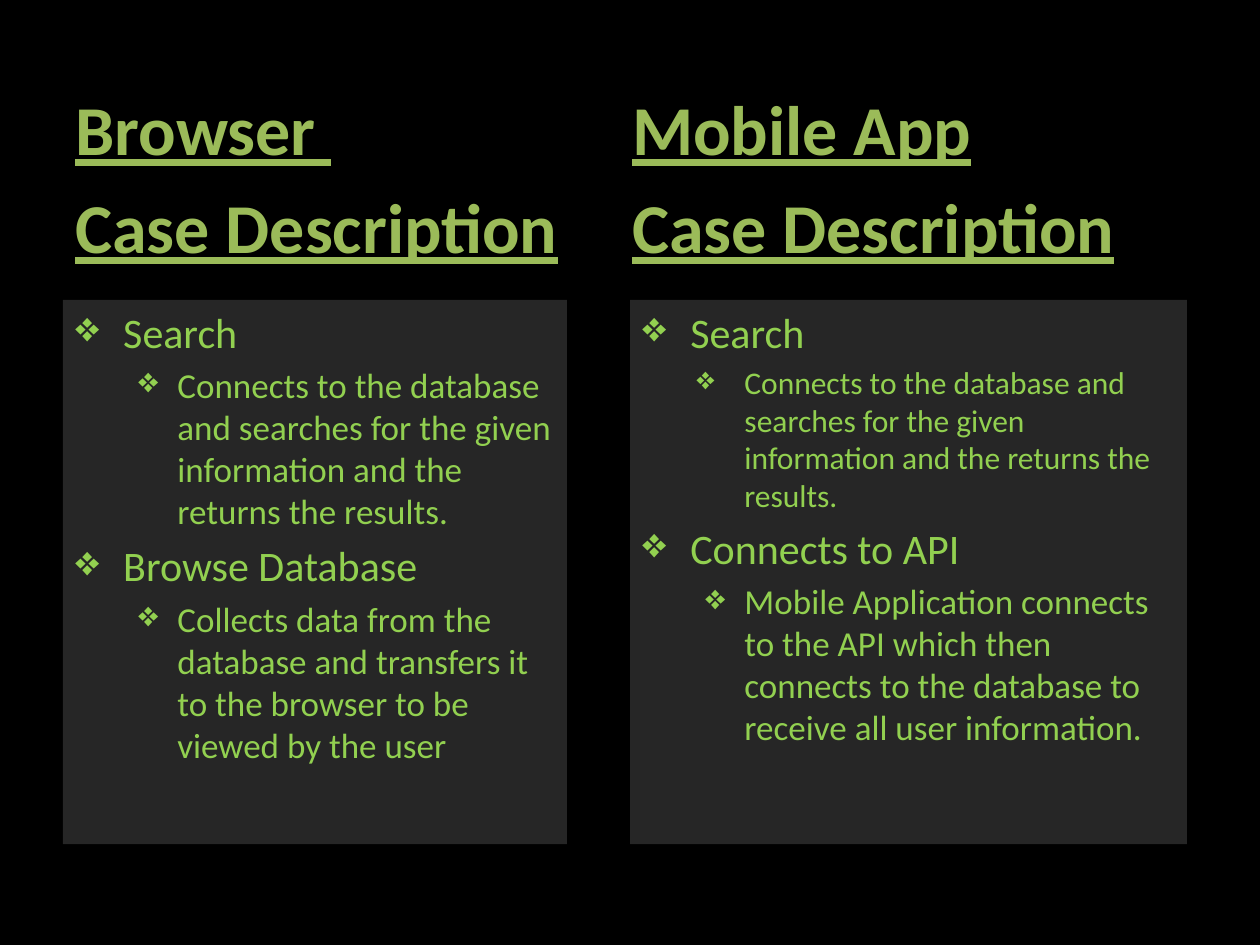
from lxml.etree import SubElement
from pptx import Presentation
from pptx.dml.color import RGBColor as RGB
from pptx.enum.shapes import MSO_SHAPE as SHAPE
from pptx.enum.text import MSO_ANCHOR as ANCHOR, PP_ALIGN as ALIGN
from pptx.oxml.ns import qn
from pptx.util import Inches, Pt

# Points: (text, style name)
COLUMNS = [
    {
        "heading": ["Browser ", "Case Description"],
        "heading_box": (0.5, 0.67, 5.08, 1.5),
        "panel_box": (0.5, 2.38, 4, 4.32),
        "points": [
            ("Search", "topic"),
            ("Connects to the database and searches for the given "
             "information and the returns the results.", "detail"),
            ("Browse Database", "topic"),
            ("Collects data from the database and transfers it to the "
             "browser to be viewed by the user", "detail"),
        ],
    },
    {
        "heading": ["Mobile App", "Case Description"],
        "heading_box": (4.92, 1.47, 4.42, 0.7),
        "panel_box": (5, 2.38, 4.42, 4.32),
        "points": [
            ("Search", "topic"),
            ("Connects to the database and searches for the given "
             "information and the returns the results.", "small detail"),
            ("Connects to API", "topic"),
            ("Mobile Application connects to the API which then connects "
             "to the database to receive all user information.", "detail"),
        ],
    },
]

THEME = {
    "background": RGB(0, 0, 0),
    "panel": RGB(0x26, 0x26, 0x26),
    "heading": RGB(0x9B, 0xBB, 0x59),
    "body": RGB(0x92, 0xD0, 0x50),
    "font": "Calibri",
    "bullet": "❖",
    "space_before": 20,  # percent of a line
}
HEADING_FONT = {"size": Pt(40), "bold": True, "underline": True}
# Style: (size, outline level, left margin, hanging indent)
STYLES = {
    "topic": (24, 0, 0.38, 0.38),
    "detail": (20, 1, 0.81, 0.31),
    "small detail": (18, 2, 0.81, 0.38),
}


def add_paragraph(tf, text, color, font, first):
    p = tf.paragraphs[0] if first else tf.add_paragraph()
    p.alignment = ALIGN.LEFT
    r = p.add_run()
    r.text = text
    for name, value in {"name": THEME["font"], **font}.items():
        setattr(r.font, name, value)
    r.font.color.rgb = color
    before = SubElement(p._p.get_or_add_pPr(), qn("a:spcBef"))
    SubElement(before, qn("a:spcPct"), val=str(THEME["space_before"] * 1000))
    return p


def add_bullet(p, left, hang):
    pPr = p._p.get_or_add_pPr()
    pPr.set("marL", str(Inches(left)))
    pPr.set("indent", str(-Inches(hang)))
    SubElement(pPr, qn("a:buChar"), char=THEME["bullet"])


def add_heading(slide, lines, box):
    tf = slide.shapes.add_textbox(*map(Inches, box)).text_frame
    tf.word_wrap = True
    tf.vertical_anchor = ANCHOR.BOTTOM
    for i, line in enumerate(lines):
        add_paragraph(tf, line, THEME["heading"], HEADING_FONT, i == 0)


def add_panel(slide, points, box):
    sp = slide.shapes.add_shape(SHAPE.RECTANGLE, *map(Inches, box))
    sp.shadow.inherit = False
    sp.fill.solid()
    sp.fill.fore_color.rgb = THEME["panel"]
    sp.line.fill.background()
    tf = sp.text_frame
    tf.word_wrap = True
    tf.vertical_anchor = ANCHOR.TOP
    for i, (text, style) in enumerate(points):
        size, level, left, hang = STYLES[style]
        p = add_paragraph(tf, text, THEME["body"], {"size": Pt(size)}, i == 0)
        p.level = level
        add_bullet(p, left, hang)


def main():
    prs = Presentation()
    prs.slide_width, prs.slide_height = Inches(10), Inches(7.5)
    slide = prs.slides.add_slide(prs.slide_layouts[6])
    slide.background.fill.solid()
    slide.background.fill.fore_color.rgb = THEME["background"]
    for column in COLUMNS:
        add_heading(slide, column["heading"], column["heading_box"])
        add_panel(slide, column["points"], column["panel_box"])
    prs.save("out.pptx")


if __name__ == "__main__":
    main()
